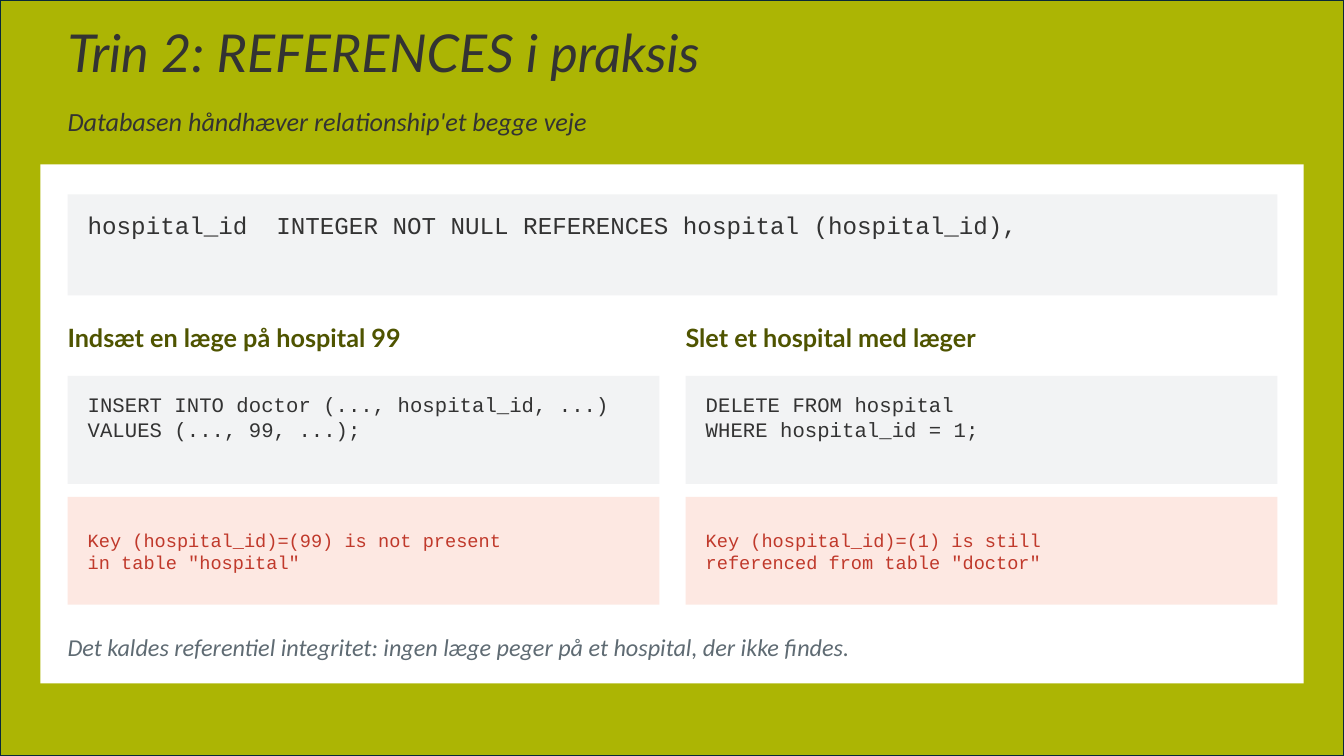
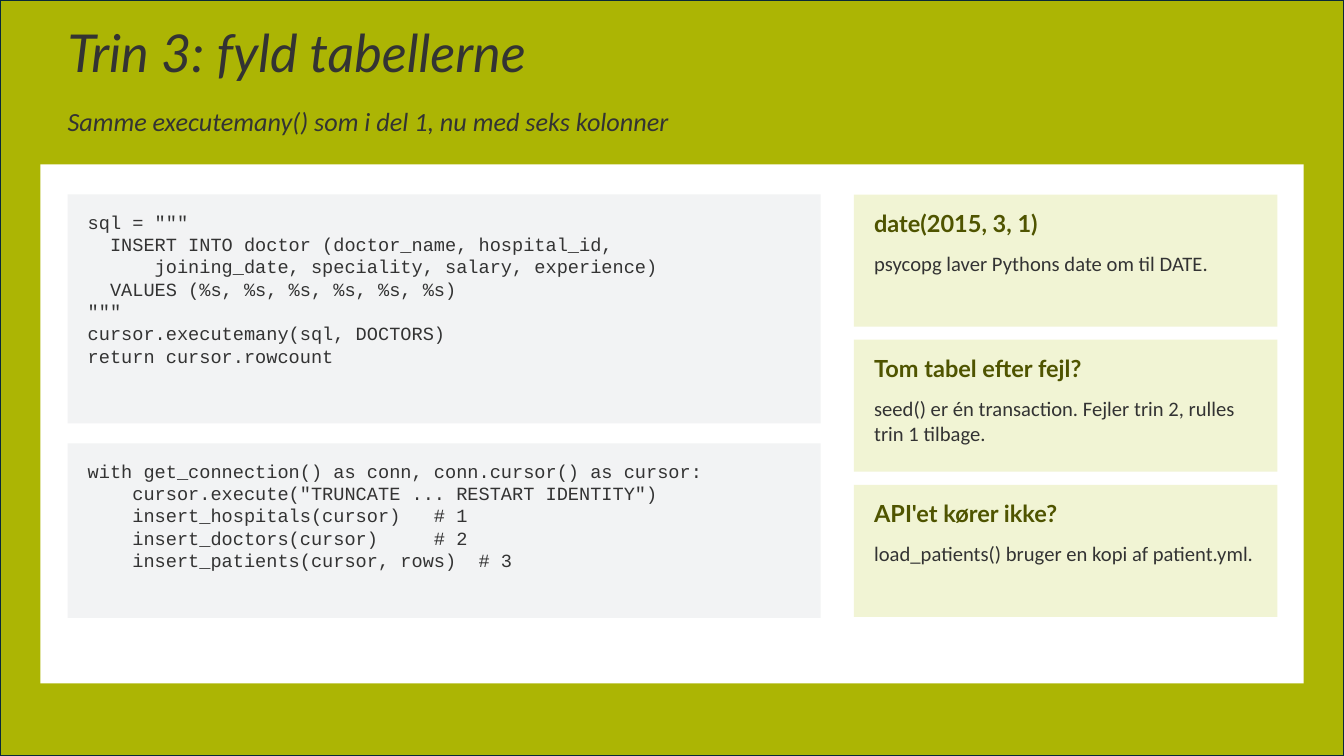
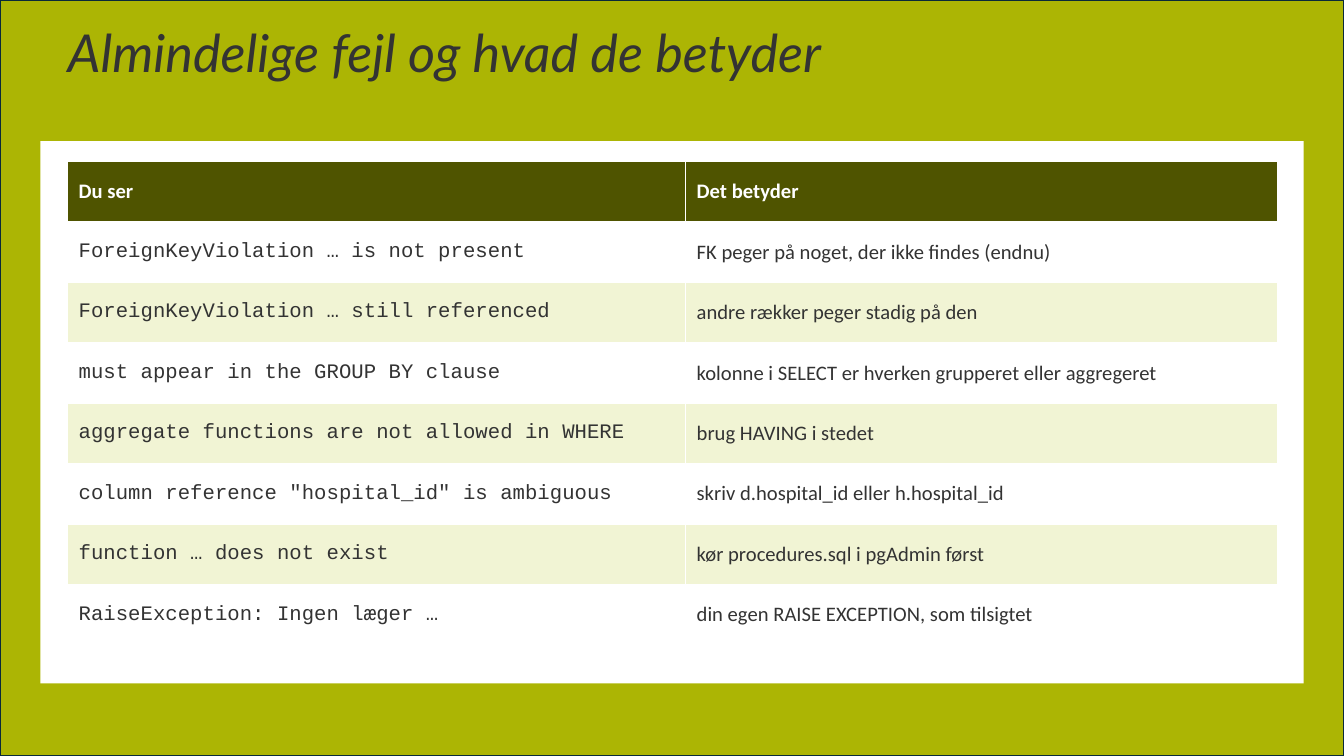
"""Build three database lesson slides with a shared lime frame."""

import dataclasses

import pptx
import pptx.dml.color
import pptx.enum.shapes
import pptx.enum.text
import pptx.presentation
import pptx.shapes.autoshape
import pptx.slide
import pptx.text.text
import pptx.util

Inches = pptx.util.Inches
Anchor = pptx.enum.text.MSO_ANCHOR

SLIDE_WIDTH, SLIDE_HEIGHT = 13.33, 7.5
LEFT, CONTENT_WIDTH = 0.67, 12
PANEL_TOP, PANEL_BOTTOM = 1.63, 6.78
CONTENT_TOP = 1.93
PADDING = 0.2
COLUMN_WIDTH, COLUMN_STEP = 5.87, 6.13

LIME, NAVY, WHITE = "ACB504", "092A39", "FFFFFF"
INK, OLIVE, SLATE, RED = "333333", "4F5400", "5F6B73", "C0392B"
CODE_FILL, ERROR_FILL, PALE_LIME = "F2F3F4", "FDE8E2", "F1F4D4"


@dataclasses.dataclass(frozen=True)
class TextStyle:
    size: float
    font: str = "Calibri"
    color: str = INK
    bold: bool = False
    italic: bool = False


@dataclasses.dataclass(frozen=True)
class Box:
    left: float
    top: float
    width: float
    height: float


@dataclasses.dataclass(frozen=True)
class Violation:
    heading: str
    statement: str
    message: str


@dataclasses.dataclass(frozen=True)
class Card:
    heading: str
    body: str


TITLE = TextStyle(37.3, "Lato", italic=True)
SUBTITLE = TextStyle(18.7, italic=True)
HEADING = TextStyle(18, "Lato", OLIVE, bold=True)
CARD_HEADING = TextStyle(16.8, "Lato", OLIVE, bold=True)
BODY = TextStyle(14.7)
CONCLUSION = TextStyle(17.3, color=SLATE, italic=True)
DEFINITION_CODE = TextStyle(17.3, "Courier New")
STATEMENT_CODE = TextStyle(14.7, "Courier New")
PROGRAM_CODE = TextStyle(13.3, "Courier New")
ERROR_CODE = TextStyle(13.3, "Courier New", RED)
TABLE_HEADER = TextStyle(14.7, color=WHITE, bold=True)

VIOLATIONS = [
    Violation(
        "Indsæt en læge på hospital 99",
        "INSERT INTO doctor (..., hospital_id, ...)\nVALUES (..., 99, ...);",
        'Key (hospital_id)=(99) is not present\nin table "hospital"',
    ),
    Violation(
        "Slet et hospital med læger",
        "DELETE FROM hospital\nWHERE hospital_id = 1;",
        'Key (hospital_id)=(1) is still\nreferenced from table "doctor"',
    ),
]

INSERT_CODE = '''sql = """
  INSERT INTO doctor (doctor_name, hospital_id,
      joining_date, speciality, salary, experience)
  VALUES (%s, %s, %s, %s, %s, %s)
"""
cursor.executemany(sql, DOCTORS)
return cursor.rowcount'''

SEED_CODE = '''with get_connection() as conn, conn.cursor() as cursor:
    cursor.execute("TRUNCATE ... RESTART IDENTITY")
    insert_hospitals(cursor)   # 1
    insert_doctors(cursor)     # 2
    insert_patients(cursor, rows)  # 3'''

CARDS = [
    Card("date(2015, 3, 1)", "psycopg laver Pythons date om til DATE."),
    Card(
        "Tom tabel efter fejl?",
        "seed() er én transaction. Fejler trin 2, rulles trin 1 tilbage.",
    ),
    Card("API'et kører ikke?", "load_patients() bruger en kopi af patient.yml."),
]

ERROR_ROWS = [
    ("Du ser", "Det betyder"),
    ("ForeignKeyViolation … is not present", "FK peger på noget, der ikke findes (endnu)"),
    ("ForeignKeyViolation … still referenced", "andre rækker peger stadig på den"),
    (
        "must appear in the GROUP BY clause",
        "kolonne i SELECT er hverken grupperet eller aggregeret",
    ),
    ("aggregate functions are not allowed in WHERE", "brug HAVING i stedet"),
    ('column reference "hospital_id" is ambiguous', "skriv d.hospital_id eller h.hospital_id"),
    ("function … does not exist", "kør procedures.sql i pgAdmin først"),
    ("RaiseException: Ingen læger …", "din egen RAISE EXCEPTION, som tilsigtet"),
]


def rgb(color: str) -> pptx.dml.color.RGBColor:
    return pptx.dml.color.RGBColor.from_string(color)


def lengths(box: Box) -> tuple[pptx.util.Length, ...]:
    return tuple(Inches(value) for value in dataclasses.astuple(box))


def write_text(text_frame: pptx.text.text.TextFrame, text: str, style: TextStyle) -> None:
    text_frame.text = text
    for paragraph in text_frame.paragraphs:
        for run in paragraph.runs:
            run.font.name = style.font
            run.font.size = pptx.util.Pt(style.size)
            run.font.bold = style.bold
            run.font.italic = style.italic
            run.font.color.rgb = rgb(style.color)


def prepare_frame(text_frame: pptx.text.text.TextFrame, anchor: Anchor) -> None:
    text_frame.word_wrap = True
    text_frame.auto_size = pptx.enum.text.MSO_AUTO_SIZE.NONE
    text_frame.vertical_anchor = anchor
    text_frame.margin_left = text_frame.margin_right = 0
    text_frame.margin_top = text_frame.margin_bottom = 0


def add_text(
    slide: pptx.slide.Slide, box: Box, text: str, style: TextStyle, anchor: Anchor = Anchor.TOP
) -> None:
    text_frame = slide.shapes.add_textbox(*lengths(box)).text_frame
    prepare_frame(text_frame, anchor)
    write_text(text_frame, text, style)


def add_rectangle(
    slide: pptx.slide.Slide, box: Box, fill: str
) -> pptx.shapes.autoshape.Shape:
    shape = slide.shapes.add_shape(pptx.enum.shapes.MSO_SHAPE.RECTANGLE, *lengths(box))
    shape.shadow.inherit = False
    shape.fill.solid()
    shape.fill.fore_color.rgb = rgb(fill)
    shape.line.fill.background()
    return shape


def add_code(slide: pptx.slide.Slide, box: Box, code: str, style: TextStyle) -> None:
    add_rectangle(slide, box, CODE_FILL)
    inner = Box(
        box.left + PADDING, box.top + 0.16, box.width - 2 * PADDING, box.height - 0.27
    )
    add_text(slide, inner, code, style)


def add_error(slide: pptx.slide.Slide, box: Box, message: str) -> None:
    add_rectangle(slide, box, ERROR_FILL)
    inner = Box(
        box.left + PADDING, box.top + 0.07, box.width - 2 * PADDING, box.height - 0.14
    )
    add_text(slide, inner, message, ERROR_CODE, Anchor.MIDDLE)


def add_card(slide: pptx.slide.Slide, box: Box, card: Card) -> None:
    add_rectangle(slide, box, PALE_LIME)
    left, width = box.left + PADDING, box.width - 2 * PADDING
    add_text(slide, Box(left, box.top + 0.14, width, 0.4), card.heading, CARD_HEADING)
    add_text(slide, Box(left, box.top + 0.56, width, 0.67), card.body, BODY)


def add_master_background(
    presentation: pptx.presentation.Presentation, slide: pptx.slide.Slide
) -> None:
    background = add_rectangle(slide, Box(0, 0, SLIDE_WIDTH, SLIDE_HEIGHT), LIME)
    background.line.color.rgb = rgb(NAVY)
    background.line.width = pptx.util.Pt(1.5)
    background.element.nvSpPr.cNvPr.set("id", "100")
    presentation.slide_master.shapes.element.insert(2, background.element)


def add_slide(
    presentation: pptx.presentation.Presentation,
    title: str,
    subtitle: str = "",
    panel_top: float = PANEL_TOP,
) -> pptx.slide.Slide:
    slide = presentation.slides.add_slide(presentation.slide_layouts[5])
    shape = slide.shapes.title
    shape.left, shape.top, shape.width, shape.height = lengths(
        Box(LEFT, 0.27, CONTENT_WIDTH, 0.73)
    )
    prepare_frame(shape.text_frame, Anchor.TOP)
    write_text(shape.text_frame, title, TITLE)
    paragraph = shape.text_frame.paragraphs[0]
    paragraph.alignment = pptx.enum.text.PP_ALIGN.LEFT
    paragraph.line_spacing = 0.9
    add_rectangle(slide, Box(0.4, panel_top, 12.53, PANEL_BOTTOM - panel_top), WHITE)
    if subtitle:
        add_text(slide, Box(LEFT, 1.04, CONTENT_WIDTH, 0.47), subtitle, SUBTITLE)
    return slide


def build_references(presentation: pptx.presentation.Presentation) -> None:
    slide = add_slide(
        presentation,
        "Trin 2: REFERENCES i praksis",
        "Databasen håndhæver relationship'et begge veje",
    )
    add_master_background(presentation, slide)
    add_code(
        slide,
        Box(LEFT, CONTENT_TOP, CONTENT_WIDTH, 1),
        "hospital_id  INTEGER NOT NULL REFERENCES hospital (hospital_id),",
        DEFINITION_CODE,
    )
    for index, violation in enumerate(VIOLATIONS):
        left = LEFT + index * COLUMN_STEP
        add_text(slide, Box(left, 3.2, COLUMN_WIDTH, 0.47), violation.heading, HEADING)
        add_code(
            slide, Box(left, 3.73, COLUMN_WIDTH, 1.07), violation.statement, STATEMENT_CODE
        )
        add_error(slide, Box(left, 4.93, COLUMN_WIDTH, 1.07), violation.message)
    add_text(
        slide,
        Box(LEFT, 6.27, CONTENT_WIDTH, 0.53),
        "Det kaldes referentiel integritet: ingen læge peger på et hospital, der ikke findes.",
        CONCLUSION,
    )


def build_seed(presentation: pptx.presentation.Presentation) -> None:
    slide = add_slide(
        presentation,
        "Trin 3: fyld tabellerne",
        "Samme executemany() som i del 1, nu med seks kolonner",
    )
    add_code(slide, Box(LEFT, CONTENT_TOP, 7.47, 2.27), INSERT_CODE, PROGRAM_CODE)
    add_code(slide, Box(LEFT, 4.4, 7.47, 1.73), SEED_CODE, PROGRAM_CODE)
    for index, card in enumerate(CARDS):
        add_card(slide, Box(8.47, CONTENT_TOP + index * 1.44, 4.2, 1.31), card)


def build_errors(presentation: pptx.presentation.Presentation) -> None:
    slide = add_slide(presentation, "Almindelige fejl og hvad de betyder", panel_top=1.4)
    box = Box(LEFT, 1.6, CONTENT_WIDTH, 0.6 * len(ERROR_ROWS))
    table = slide.shapes.add_table(len(ERROR_ROWS), 2, *lengths(box)).table
    table.horz_banding = False
    for column, width in zip(table.columns, (COLUMN_STEP, COLUMN_WIDTH)):
        column.width = Inches(width)
    for row_index, row in enumerate(ERROR_ROWS):
        if row_index == 0:
            fill, styles = OLIVE, (TABLE_HEADER, TABLE_HEADER)
        else:
            fill = WHITE if row_index % 2 else PALE_LIME
            styles = (STATEMENT_CODE, BODY)
        for column_index, (text, style) in enumerate(zip(row, styles)):
            cell = table.cell(row_index, column_index)
            cell.fill.solid()
            cell.fill.fore_color.rgb = rgb(fill)
            cell.vertical_anchor = Anchor.MIDDLE
            cell.margin_left = cell.margin_right = Inches(0.11)
            cell.margin_top = cell.margin_bottom = Inches(0.04)
            write_text(cell.text_frame, text, style)


def main() -> None:
    presentation = pptx.Presentation()
    presentation.slide_width = Inches(SLIDE_WIDTH)
    presentation.slide_height = Inches(SLIDE_HEIGHT)
    build_references(presentation)
    build_seed(presentation)
    build_errors(presentation)
    presentation.save("out.pptx")


if __name__ == "__main__":
    main()
